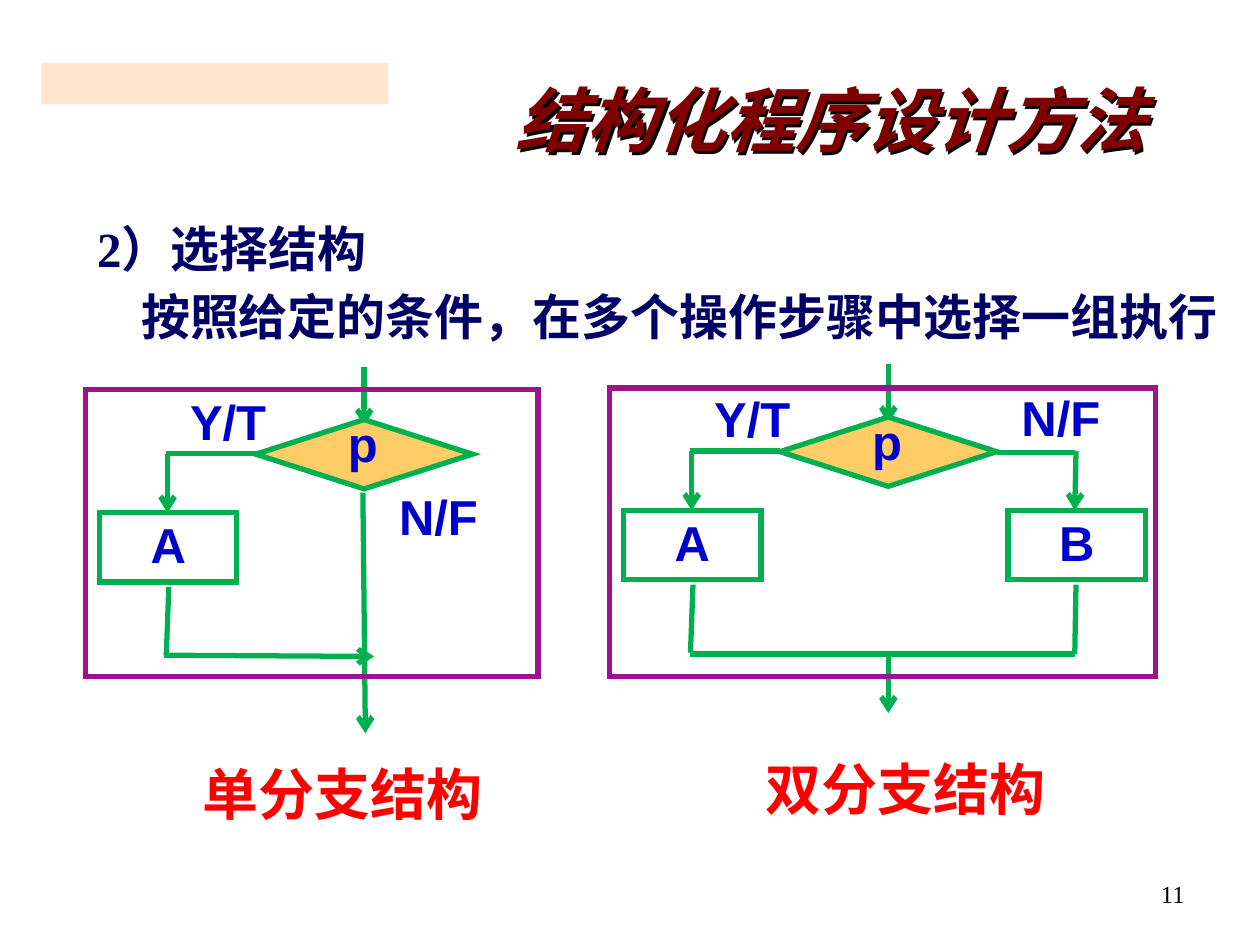
from pptx import Presentation
from pptx.dml.color import RGBColor
from pptx.enum.shapes import MSO_CONNECTOR, MSO_SHAPE as SHAPE
from pptx.enum.text import MSO_ANCHOR as ANCHOR, MSO_AUTO_SIZE, PP_ALIGN as ALIGN
from pptx.oxml import parse_xml
from pptx.oxml.ns import nsdecls, qn
from pptx.util import Inches, Pt

GREEN, PURPLE, BLUE, RED = "00B050", "9D138D", "0000CC", "FF0000"


def rgb(value):
    return RGBColor.from_string(value)


def set_text(sp, text, size, color, font="Arial", bold=True, align=ALIGN.CENTER, spacing=0.95):
    tf = sp.text_frame
    tf.text = text
    tf.vertical_anchor = ANCHOR.TOP
    for p in tf.paragraphs:
        p.alignment = align
        p.line_spacing = spacing
        for r in p.runs:
            r.font.size, r.font.name, r.font.bold = Pt(size), font, bold
            r.font.color.rgb = rgb(color)
    return tf


prs = Presentation()
prs.slide_width, prs.slide_height = Inches(10), Inches(7.5)
s = prs.slides.add_slide(prs.slide_layouts[1])
shapes = s.shapes

# Decorative bar
bar = shapes.add_shape(SHAPE.RECTANGLE, Inches(0.33), Inches(0.5), Inches(2.75), Inches(0.33))
bar.shadow.inherit = False
bar.fill.solid()
bar.fill.fore_color.rgb = rgb("FFCC99")
bar.fill._xPr.find(".//" + qn("a:srgbClr")).append(
    parse_xml(f'<a:alpha {nsdecls("a")} val="50000"/>'))
bar.line.fill.background()

# Title; the unfilled shape casts its shadow from the text
title = shapes.title
title.left, title.top, title.width, title.height = (Inches(v) for v in (2.02, 0.43, 9.14, 1.13))
tf = set_text(title, "结构化程序设计方法", 40, "800000", spacing=0.85)
tf.vertical_anchor = ANCHOR.MIDDLE
tf.auto_size = MSO_AUTO_SIZE.NONE
tf.paragraphs[0].runs[0].font.italic = True
title.fill.background()
title._element.spPr.append(parse_xml(
    f'<a:effectLst {nsdecls("a")}><a:outerShdw dist="25400" dir="2700000">'
    '<a:srgbClr val="000000"/></a:outerShdw></a:effectLst>'))

# Body text
body = s.placeholders[1]
body.left, body.top, body.width, body.height = (Inches(v) for v in (0.67, 1.72, 9.33, 1.19))
tf = set_text(body, "2）选择结构\n按照给定的条件，在多个操作步骤中选择一组执行", 28, "000066",
              "Times New Roman", align=ALIGN.LEFT)
tf.auto_size = MSO_AUTO_SIZE.NONE
for p, margin, before in zip(tf.paragraphs, (0, 0.35), (0, 7)):
    pPr = p._p.get_or_add_pPr()
    pPr.set("marL", str(Inches(margin)))
    pPr.set("indent", "0")
    pPr.append(parse_xml(f'<a:buNone {nsdecls("a")}/>'))
    p.space_before = Pt(before)

# Both flowcharts share the decision and the left branch
lines, boxes, labels = [], [], []
for x, y in ((0, 0), (4.16, -0.02)):
    lines += [
        (x + 2.89, y + 2.91, x + 2.89, y + 3.38, True),
        (x + 2.03, y + 3.6, x + 1.32, y + 3.6, False),
        (x + 1.33, y + 3.6, x + 1.33, y + 4.07, True),
        (x + 1.32, y + 5.2, x + 1.34, y + 4.66, False),
    ]
    boxes += [
        (SHAPE.RECTANGLE, x + 0.79, y + 4.07, 1.09, 0.55, None, GREEN, "A"),
        (SHAPE.FLOWCHART_DECISION, x + 2.03, y + 3.33, 1.72, 0.55, "FFCC66", GREEN, ""),
    ]
    labels += [("Y/T", x + 1.3, y + 3.09, 1.02), ("p", x + 2.57, y + 3.27, 0.62)]

# Single branch: the other exit runs straight down
lines += [(1.3, 5.2, 2.97, 5.21, True), (2.88, 3.91, 2.9, 5.82, True)]
labels.append(("N/F", 2.89, 3.85, 1.18))

# Double branch: right arm, join and exit
lines += [
    (8.53, 3.59, 7.91, 3.59, False),
    (8.54, 3.58, 8.53, 4.05, True),
    (8.53, 5.19, 8.54, 4.64, False),
    (8.53, 5.19, 5.48, 5.19, False),
    (7.05, 5.19, 7.05, 5.66, True),
]
boxes.append((SHAPE.RECTANGLE, 8, 4.05, 1.09, 0.55, None, GREEN, "B"))
labels.append(("N/F", 7.83, 3.06, 1.18))

# Frames
boxes += [
    (SHAPE.RECTANGLE, 0.68, 3.09, 3.59, 2.28, None, PURPLE, ""),
    (SHAPE.RECTANGLE, 4.84, 3.08, 4.33, 2.29, None, PURPLE, ""),
]

# Draw lines and arrows
for x1, y1, x2, y2, arrow in lines:
    line = shapes.add_connector(MSO_CONNECTOR.STRAIGHT, Inches(x1), Inches(y1), Inches(x2), Inches(y2))
    line.line.color.rgb = rgb(GREEN)
    line.line.width = Pt(3)
    if arrow:
        line.line._get_or_add_ln().append(parse_xml(f'<a:tailEnd {nsdecls("a")} type="arrow"/>'))
    line._element.spPr.append(parse_xml(f'<a:effectLst {nsdecls("a")}/>'))

# Draw boxes, decisions and frames with sharp corners
for kind, x, y, w, h, fill, color, text in boxes:
    sp = shapes.add_shape(kind, Inches(x), Inches(y), Inches(w), Inches(h))
    sp.shadow.inherit = False
    if fill:
        sp.fill.solid()
        sp.fill.fore_color.rgb = rgb(fill)
    else:
        sp.fill.background()
    sp.line.color.rgb = rgb(color)
    sp.line.width = Pt(3)
    sp.line._get_or_add_ln().append(parse_xml(f'<a:miter {nsdecls("a")} lim="800000"/>'))
    if text:
        set_text(sp, text, 28, BLUE)

# Draw labels
for text, x, y, w in labels:
    sp = shapes.add_textbox(Inches(x), Inches(y), Inches(w), Inches(0.55))
    set_text(sp, text, 28, BLUE).word_wrap = True

# Captions, each on one line
for text, x, y in (("单分支结构", 1.51, 5.98), ("双分支结构", 5.98, 5.94)):
    sp = shapes.add_textbox(Inches(x), Inches(y), Inches(2.5), Inches(0.64))
    tf = set_text(sp, text, 32, RED, "Times New Roman", align=ALIGN.LEFT, spacing=1.0)
    tf.word_wrap = False

# Page number
sp = shapes.add_textbox(Inches(7.17), Inches(6.93), Inches(2.33), Inches(0.52))
set_text(sp, "11", 14, "000000", "Times New Roman", False, ALIGN.RIGHT, 1.0).word_wrap = True

prs.save("out.pptx")
